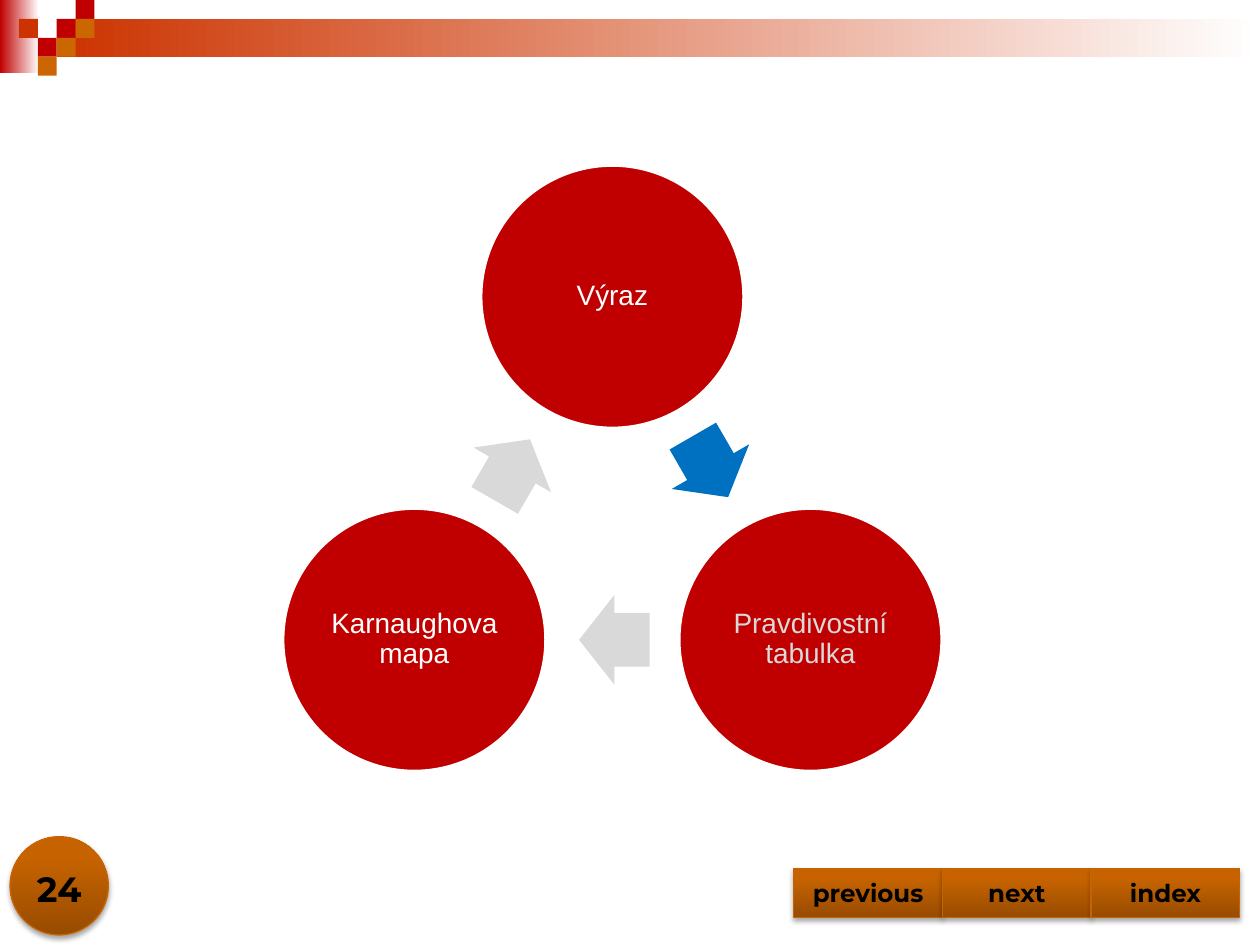
from copy import deepcopy
from math import cos, radians, sin

from lxml import etree
from pptx import Presentation
from pptx.dml.color import RGBColor
from pptx.enum.shapes import MSO_SHAPE as SHAPE
from pptx.enum.text import MSO_ANCHOR as ANCHOR, PP_ALIGN as ALIGN
from pptx.oxml.ns import qn
from pptx.util import Inches, Pt

# Content: each step with its text colour and the colour of the arrow after it
STEPS = [
    ("Výraz", "white", "blue"),
    ("Pravdivostní tabulka", "grey", "grey"),
    ("Karnaughova mapa", "white", "grey"),
]
BUTTONS = ["previous", "next", "index"]
PAGE = "24"
# Header mosaic: column, row, colour
MOSAIC = [
    (3, 1, "red"), (4, 0, "red"), (4, 1, "orange"), (2, 2, "red"),
    (1, 1, "rust"), (3, 2, "orange"), (2, 3, "orange"),
]

THEME = {
    "white": "FFFFFF", "black": "000000", "red": "C00000", "rust": "CC3300",
    "orange": "CC6600", "blue": "0070C0", "grey": "D9D9D9", "edge": "C86400",
    "button": [(0, "984C00"), (0.8, "C66300"), (1, "C76300")],
    "body": ("Arial", 16), "nav": ("Montserrat", 14), "page": ("Montserrat", 20),
}

# Geometry in inches
CELL = 0.15
RING_X, RING_Y, RING_R = 4.86, 4.17, 1.815
CIRCLE = 2.09
ARROW_W, ARROW_H, ARROW_LAG = 0.56, 0.71, 0.015
BUTTON_X, BUTTON_Y, BUTTON_W, BUTTON_H = 6.3, 6.89, 1.18, 0.39


def rgb(name):
    return RGBColor.from_string(THEME.get(name, name))


def add_shape(slide, kind, x, y, w, h, fill=None, line=None, width=0):
    sp = slide.shapes.add_shape(kind, Inches(x), Inches(y), Inches(w), Inches(h))
    sp.shadow.inherit = False
    if fill:
        sp.fill.solid()
        sp.fill.fore_color.rgb = rgb(fill)
    if line:
        sp.line.color.rgb = rgb(line)
        sp.line.width = Pt(width)
    else:
        sp.line.fill.background()
    return sp


def set_gradient(sp, stops, angle):
    sp.fill.gradient()
    sp.fill.gradient_angle = angle
    gs_list = sp._element.spPr.find(qn("a:gradFill")).find(qn("a:gsLst"))
    while len(gs_list) < len(stops):
        gs_list.append(deepcopy(gs_list[-1]))
    for stop, (position, colour) in zip(sp.fill.gradient_stops, stops):
        stop.position = position
        stop.color.rgb = rgb(colour)


def add_raised(slide, kind, x, y, w, h):
    sp = add_shape(slide, kind, x, y, w, h, line="edge", width=0.75)
    set_gradient(sp, THEME["button"], 90)
    effects = sp._element.spPr.find(qn("a:effectLst"))
    shadow = etree.SubElement(
        effects, qn("a:outerShdw"), blurRad=str(Pt(3.1)), dist=str(Pt(1.8)),
        dir="5400000", rotWithShape="0")
    colour = etree.SubElement(shadow, qn("a:srgbClr"), val=THEME["black"])
    etree.SubElement(colour, qn("a:alpha"), val="35000")
    return sp


def set_text(sp, text, style, colour, bold=False, anchor=ANCHOR.MIDDLE):
    tf = sp.text_frame
    tf.word_wrap = True
    tf.vertical_anchor = anchor
    p = tf.paragraphs[0]
    p.text = text
    p.alignment = ALIGN.CENTER
    p.font.name, size = THEME[style]
    p.font.size = Pt(size)
    p.font.bold = bold
    p.font.color.rgb = rgb(colour)
    return tf


def on_ring(angle, radius):
    a = radians(angle)
    return RING_X + radius * cos(a), RING_Y + radius * sin(a)


def add_header(slide):
    for x, y, w, h, colour in [(0, 0, 0.31, 0.58, "red"),
                               (0.45, CELL, 9.55, 2 * CELL, "rust")]:
        sp = add_shape(slide, SHAPE.RECTANGLE, x, y, w, h)
        set_gradient(sp, [(0, colour), (1, "white")], 0)
    for col, row, colour in MOSAIC:
        add_shape(slide, SHAPE.RECTANGLE, col * CELL, row * CELL, CELL, CELL, colour)


def add_cycle(slide):
    turn = 360 / len(STEPS)
    for i, (text, text_colour, arrow_colour) in enumerate(STEPS):
        angle = -90 + i * turn
        x, y = on_ring(angle, RING_R)
        sp = add_shape(slide, SHAPE.OVAL, x - CIRCLE / 2, y - CIRCLE / 2,
                       CIRCLE, CIRCLE, "red", "white", 2)
        tf = set_text(sp, text, "body", text_colour)
        tf.margin_left = tf.margin_right = Inches(0.02)
        tf.margin_top = tf.margin_bottom = Inches(0.02)
        tf.paragraphs[0].line_spacing = 0.9

        # Arrow halfway to the next circle, set back slightly along its direction
        x, y = on_ring(angle + turn / 2, RING_R * cos(radians(turn / 2)))
        heading = angle + turn / 2 + 90
        x -= ARROW_LAG * cos(radians(heading))
        y -= ARROW_LAG * sin(radians(heading))
        arrow = add_shape(slide, SHAPE.RIGHT_ARROW, x - ARROW_W / 2, y - ARROW_H / 2,
                          ARROW_W, ARROW_H, arrow_colour)
        arrow.adjustments[0] = 0.6
        arrow.adjustments[1] = 0.5
        arrow.rotation = heading


def add_footer(slide):
    for i, label in enumerate(BUTTONS):
        sp = add_raised(slide, SHAPE.ACTION_BUTTON_CUSTOM,
                        BUTTON_X + i * BUTTON_W, BUTTON_Y, BUTTON_W, BUTTON_H)
        set_text(sp, label, "nav", "black", bold=True)
    add_raised(slide, SHAPE.OVAL, 0.08, 6.64, 0.78, 0.78)
    box = slide.shapes.add_textbox(Inches(0), Inches(6.77), Inches(0.94), Inches(0.5))
    set_text(box, PAGE, "page", "black", bold=True, anchor=ANCHOR.BOTTOM)


def main():
    prs = Presentation()
    prs.slide_width, prs.slide_height = Inches(10), Inches(7.5)
    slide = prs.slides.add_slide(prs.slide_layouts[6])
    add_header(slide)
    add_cycle(slide)
    add_footer(slide)
    prs.save("out.pptx")


if __name__ == "__main__":
    main()
